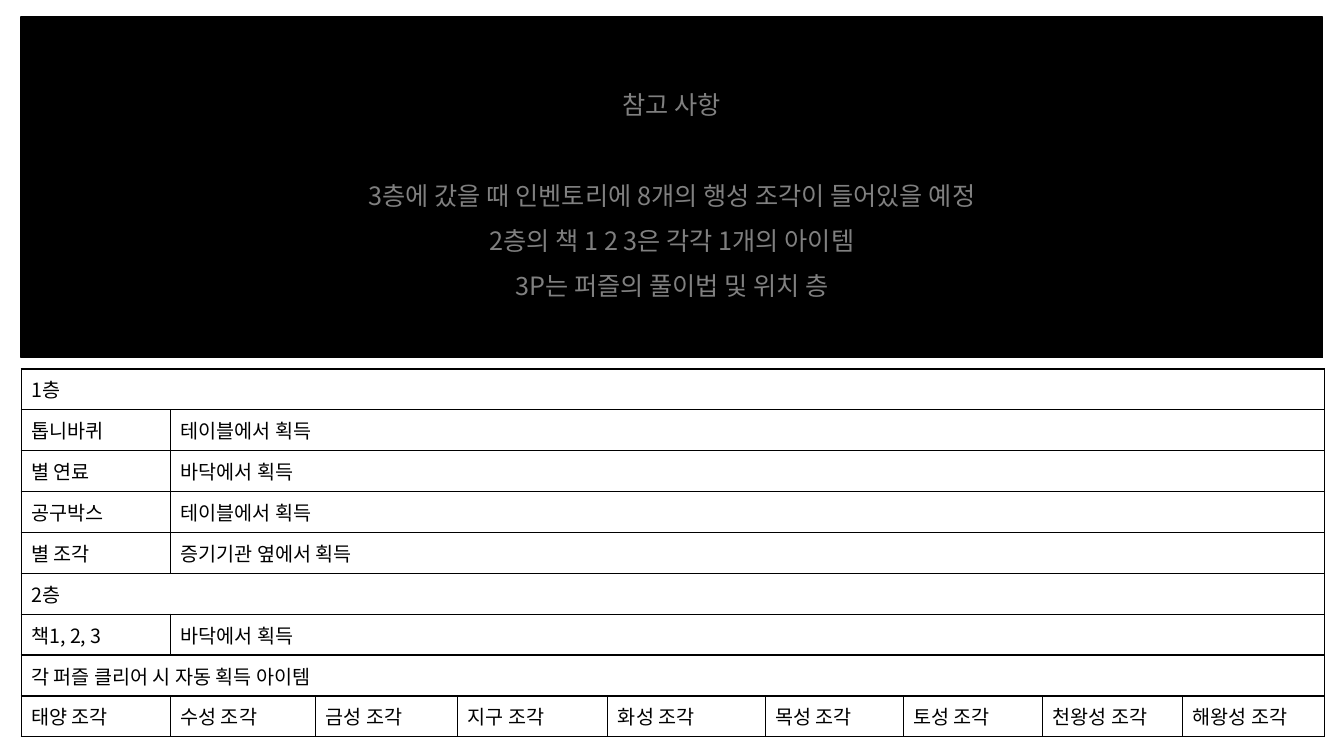
from lxml import etree
from pptx import Presentation
from pptx import util as u
from pptx.dml.color import RGBColor
from pptx.enum import shapes, text
from pptx.oxml.ns import qn

PX = 9144  # 100 px to the inch
FONT = "Noto Sans CJK KR"
BLACK, WHITE, GRAY = "000000", "FFFFFF", "808080"

TITLE = "참고 사항"
NOTES = [
    "3층에 갔을 때 인벤토리에 8개의 행성 조각이 들어있을 예정",
    "2층의 책 1 2 3은 각각 1개의 아이템",
    "3P는 퍼즐의 풀이법 및 위치 층",
]
COLS = [148, 144, 141, 149, 156, 137, 138, 139, 141]
ROWS = [
    ["1층"],
    ["톱니바퀴", "테이블에서 획득"],
    ["별 연료", "바닥에서 획득"],
    ["공구박스", "테이블에서 획득"],
    ["별 조각", "증기기관 옆에서 획득"],
    ["2층"],
    ["책1, 2, 3", "바닥에서 획득"],
    ["각 퍼즐 클리어 시 자동 획득 아이템"],
    [f"{star} 조각" for star in
     ["태양", "수성", "금성", "지구", "화성", "목성", "토성", "천왕성", "해왕성"]],
]


def px(n):
    return u.Emu(n * PX)


def color(code):
    return RGBColor.from_string(code)


def style(par, size, code):
    par.font.name = FONT
    par.font.size = u.Pt(size)
    par.font.color.rgb = color(code)


def border(cell):
    props = cell._tc.get_or_add_tcPr()
    for i, side in enumerate(("lnL", "lnR", "lnT", "lnB")):
        line = etree.Element(qn(f"a:{side}"), w=str(u.Pt(1)))
        fill = etree.SubElement(line, qn("a:solidFill"))
        etree.SubElement(fill, qn("a:srgbClr"), val=BLACK)
        props.insert(i, line)


# Black panel with the notes
def panel(slide, x, y, w, h):
    box = slide.shapes.add_shape(
        shapes.MSO_SHAPE.RECTANGLE, px(x), px(y), px(w), px(h))
    box.shadow.inherit = False
    box.fill.solid()
    box.fill.fore_color.rgb = color(BLACK)
    box.line.color.rgb = color(BLACK)
    box.line.width = u.Pt(1)
    frame = box.text_frame
    frame.word_wrap = True
    frame.vertical_anchor = text.MSO_ANCHOR.MIDDLE
    frame.text = "\n".join([TITLE] + NOTES)
    for par in frame.paragraphs:
        par.alignment = text.PP_ALIGN.CENTER
        par.line_spacing = 1.5
        style(par, 18, GRAY)
    frame.paragraphs[0].space_after = u.Pt(32.5)


# Item table: the last entry of a short row spans the remaining columns
def items(slide, x, y, w, h):
    grid = slide.shapes.add_table(
        len(ROWS), len(COLS), px(x), px(y), px(w), px(h)).table
    for col, wide in zip(grid.columns, COLS):
        col.width = px(wide)
    for r, row in enumerate(ROWS):
        grid.rows[r].height = px(h) // len(ROWS)
        last = len(row) - 1
        if last < len(COLS) - 1:
            grid.cell(r, last).merge(grid.cell(r, len(COLS) - 1))
        for c, words in enumerate(row):
            cell = grid.cell(r, c)
            cell.text = words
            style(cell.text_frame.paragraphs[0], 14, BLACK)
    for cell in grid.iter_cells():
        cell.fill.solid()
        cell.fill.fore_color.rgb = color(WHITE)
        cell.vertical_anchor = text.MSO_ANCHOR.MIDDLE
        border(cell)


def main():
    deck = Presentation()
    deck.slide_width, deck.slide_height = px(1333), px(750)
    slide = deck.slides.add_slide(deck.slide_layouts[6])
    items(slide, 21, 366, sum(COLS), 365)
    panel(slide, 21, 17, 1291, 338)
    deck.save("out.pptx")


if __name__ == "__main__":
    main()
